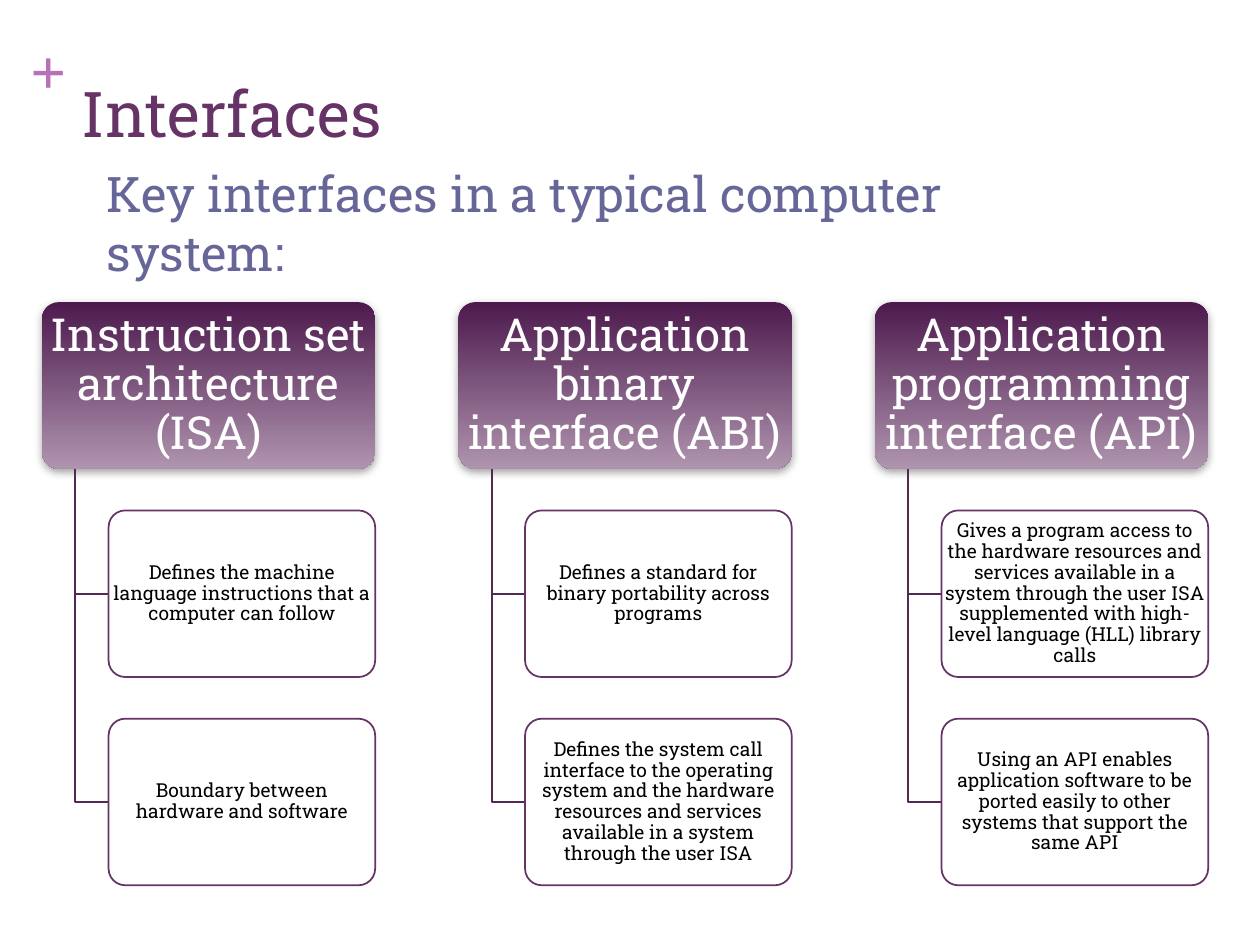
from dataclasses import dataclass

from lxml.etree import SubElement
from pptx import Presentation
from pptx.dml.color import RGBColor as Rgb
from pptx.enum.shapes import MSO_SHAPE as Shape
from pptx.enum.text import MSO_ANCHOR as Anchor, PP_ALIGN as Align
from pptx.oxml.ns import qn
from pptx.util import Pt


@dataclass(frozen=True)
class Theme:
    font: str = "Roboto Slab"
    mark_font: str = "Times New Roman"
    mark: str = "B870B8"
    title: str = "663366"
    subtitle: str = "666699"
    head_top: str = "4D1A4D"
    head_bottom: str = "AF94AF"
    shadow: str = "808080"
    stem: str = "522952"
    white: str = "FFFFFF"
    black: str = "000000"
    title_size: int = 36
    subtitle_size: int = 28
    head_size: int = 26
    detail_size: int = 11


THEME = Theme()

# Each card is twice as wide as high; gaps are a quarter of a card.
CARD_HEIGHT = 95.2
CARD_WIDTH = 2 * CARD_HEIGHT
COLUMN_STEP = 1.25 * CARD_WIDTH
ROW_STEP = 1.25 * CARD_HEIGHT
STEM_INDENT = 0.1 * CARD_WIDTH
DETAIL_INDENT = 0.2 * CARD_WIDTH
LEFT, TOP = 24, 172.7

INTERFACES = [
    ("Instruction set architecture (ISA)", [
        "Defines the machine language instructions that a computer can follow",
        "Boundary between hardware and software",
    ]),
    ("Application binary interface (ABI)", [
        "Defines a standard for binary portability across programs",
        "Defines the system call interface to the operating system and the "
        "hardware resources and services available in a system through the user ISA",
    ]),
    ("Application programming interface (API)", [
        "Gives a program access to the hardware resources and services available "
        "in a system through the user ISA supplemented with high-level language "
        "(HLL) library calls",
        "Using an API enables application software to be ported easily to other "
        "systems that support the same API",
    ]),
]


def add_text(page, text, area, *, size, color, font=THEME.font, bold=False,
             align=Align.LEFT, anchor=Anchor.TOP, insets=(7.2, 3.6), spacing=1.0):
    box = page.shapes.add_textbox(*map(Pt, area))
    frame = box.text_frame
    frame.word_wrap = True
    frame.vertical_anchor = anchor
    frame.margin_left = frame.margin_right = Pt(insets[0])
    frame.margin_top = frame.margin_bottom = Pt(insets[1])
    para = frame.paragraphs[0]
    para.alignment = align
    para.line_spacing = spacing
    span = para.add_run()
    span.text = text
    span.font.name = font
    span.font.size = Pt(size)
    span.font.bold = bold
    span.font.color.rgb = Rgb.from_string(color)


def add_card(page, area):
    card = page.shapes.add_shape(Shape.ROUNDED_RECTANGLE, *map(Pt, area))
    card.adjustments[0] = 0.1
    card.shadow.inherit = False
    return card


def add_soft_shadow(shape):
    effects = shape._element.spPr.find(qn("a:effectLst"))
    shadow = SubElement(effects, qn("a:outerShdw"), blurRad=str(Pt(5)),
                        dist=str(Pt(2)), dir="5400000", rotWithShape="0")
    color = SubElement(shadow, qn("a:srgbClr"), val=THEME.shadow)
    SubElement(color, qn("a:alpha"), val="75000")


def add_head(page, text, area):
    card = add_card(page, area)
    card.fill.gradient()
    card.fill.gradient_angle = 270
    stops = zip(card.fill.gradient_stops, (THEME.head_top, THEME.head_bottom))
    for position, (stop, color) in enumerate(stops):
        stop.position = position
        stop.color.rgb = Rgb.from_string(color)
    card.line.fill.background()
    add_soft_shadow(card)
    add_text(page, text, area, size=THEME.head_size, color=THEME.white,
             align=Align.CENTER, anchor=Anchor.MIDDLE, insets=(3.6, 2.9), spacing=0.9)


def add_detail(page, text, area):
    card = add_card(page, area)
    card.fill.solid()
    card.fill.fore_color.rgb = Rgb.from_string(THEME.white)
    card.line.color.rgb = Rgb.from_string(THEME.title)
    card.line.width = Pt(1)
    add_text(page, text, area, size=THEME.detail_size, color=THEME.black,
             align=Align.CENTER, anchor=Anchor.MIDDLE, insets=(1.5, 1.5), spacing=0.9)


def add_elbow(page, left, top, right, bottom):
    """Draw a line down from the head, then right to a detail card."""
    builder = page.shapes.build_freeform(Pt(left), Pt(top))
    builder.add_line_segments(
        [(Pt(left), Pt(bottom)), (Pt(right), Pt(bottom))], close=False)
    elbow = builder.convert_to_shape()
    elbow.shadow.inherit = False
    elbow.fill.background()
    elbow.line.color.rgb = Rgb.from_string(THEME.stem)
    elbow.line.width = Pt(1)


def add_column(page, left, head, details):
    add_head(page, head, (left, TOP, CARD_WIDTH, CARD_HEIGHT))
    detail_left = left + DETAIL_INDENT
    for row, detail in enumerate(details, start=1):
        top = TOP + row * ROW_STEP
        add_elbow(page, left + STEM_INDENT, TOP + CARD_HEIGHT,
                  detail_left, top + CARD_HEIGHT / 2)
        add_detail(page, detail,
                   (detail_left, top, CARD_WIDTH - DETAIL_INDENT, CARD_HEIGHT))


def main():
    deck = Presentation()
    deck.slide_width, deck.slide_height = Pt(720), Pt(540)
    page = deck.slides.add_slide(deck.slide_layouts[6])

    add_text(page, "+", (17.3, 18, 20.9, 43.9), size=THEME.title_size,
             color=THEME.mark, font=THEME.mark_font, bold=True, insets=(0, 0))
    add_text(page, "Interfaces", (39.6, 10.8, 594.7, 78.5), size=THEME.title_size,
             color=THEME.title, anchor=Anchor.BOTTOM)
    for column, (head, details) in enumerate(INTERFACES):
        add_column(page, LEFT + column * COLUMN_STEP, head, details)
    add_text(page, "Key interfaces in a typical computer system:",
             (54, 90, 595.4, 61.2), size=THEME.subtitle_size, color=THEME.subtitle)

    deck.save("out.pptx")


if __name__ == "__main__":
    main()
